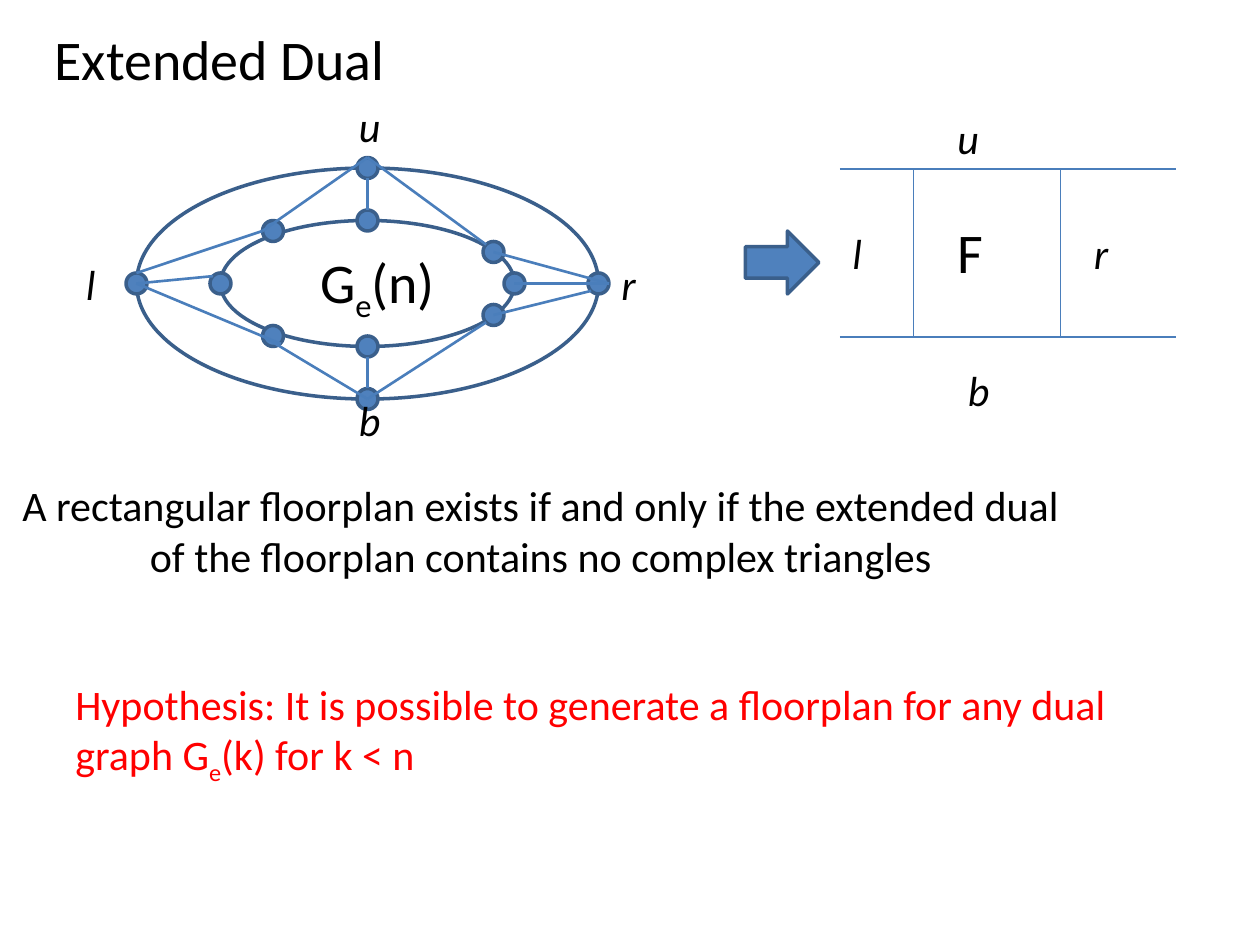
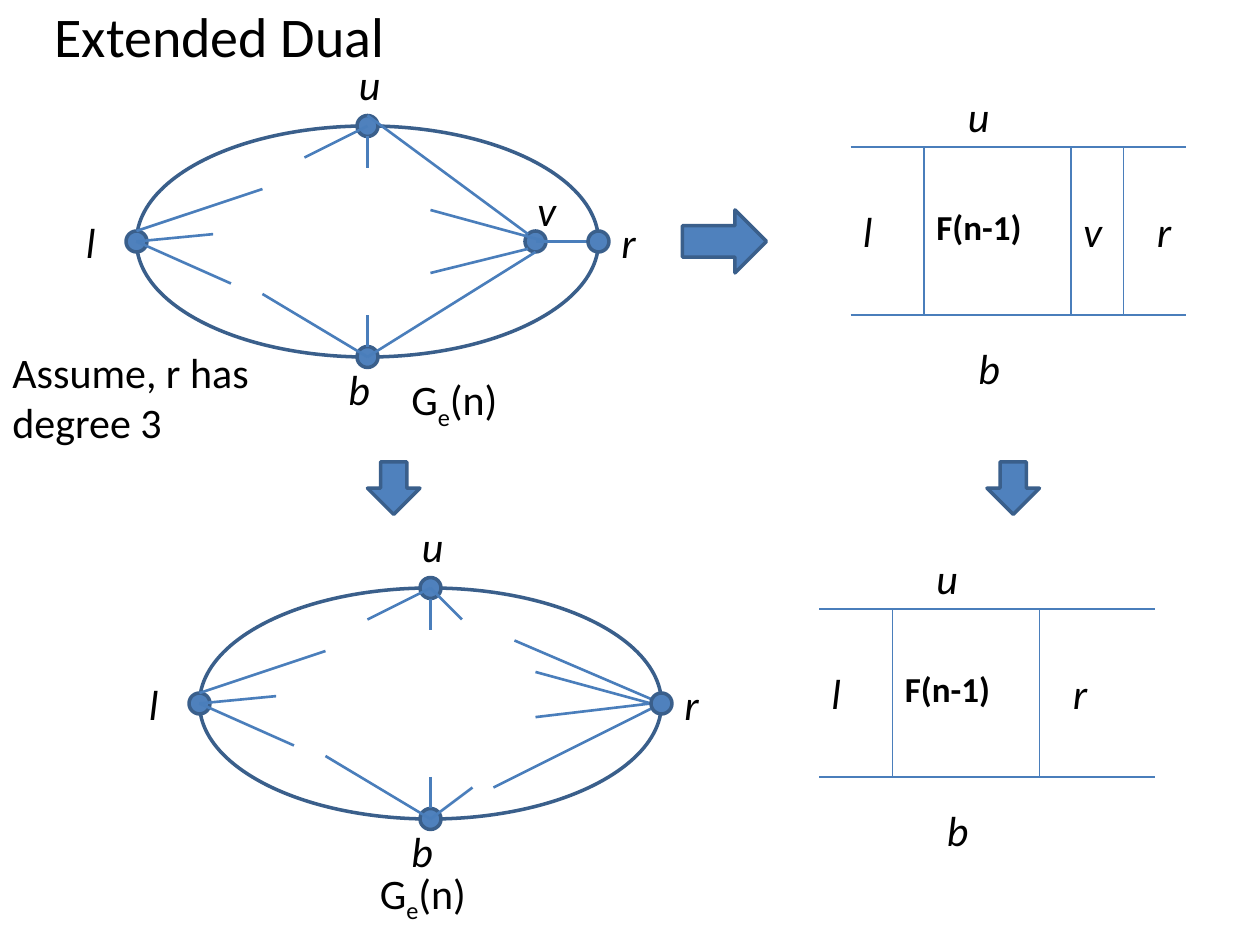
from lxml.etree import SubElement
from pptx import Presentation
from pptx.dml.color import RGBColor
from pptx.enum.shapes import MSO_CONNECTOR as Link, MSO_SHAPE as Shape
from pptx.enum.text import MSO_AUTO_SIZE as AutoSize, PP_ALIGN as Align
from pptx.oxml.ns import qn
from pptx.util import Emu, Inches, Pt

COLORS = {"ink": "000000", "alert": "FF0000", "paper": "FFFFFF",
          "node": "4F81BD", "outline": "3A5F8B", "edge": "4A7EBB"}
FONT = "Calibri"
COLUMNS, ROWS = 120, 90
CELL = Inches(10) // COLUMNS

# Graph coordinates are cells from the top left of the outer ellipse.
GRAPH_W, GRAPH_H = 44, 22
UP, BOTTOM = (GRAPH_W / 2, 0), (GRAPH_W / 2, GRAPH_H)
LEFT, RIGHT = (0, GRAPH_H / 2), (GRAPH_W, GRAPH_H / 2)
PLAN_W, PLAN_H = 32, 16

SHARED_EDGES = [((22, 1), (22, 4)), ((22, 18), (22, 21)), ((12, 6), (0, 10)),
                (BOTTOM, (12, 16)), (LEFT, (7.3, 10.3))]
OPEN_EDGES = SHARED_EDGES + [(LEFT, (9, 15)), ((16, 3), UP)]


def cells(*values):
    return [Emu(round(value * CELL)) for value in values]


def shifted(origin, point):
    return origin[0] + point[0], origin[1] + point[1]


def rgb(name):
    return RGBColor.from_string(COLORS[name])


def add_text(page, box, spans, size=24, color="ink", bold=False, italic=False,
             align=Align.LEFT):
    """Add one paragraph; a span that starts with "_" is a subscript."""
    frame = page.shapes.add_textbox(*cells(*box)).text_frame
    frame.word_wrap = True
    frame.auto_size = AutoSize.SHAPE_TO_FIT_TEXT
    para = frame.paragraphs[0]
    para.alignment = align
    for text in spans:
        span = para.add_run()
        span.text = text.removeprefix("_")
        font = span.font
        font.name, font.size = FONT, Pt(size)
        font.bold, font.italic = bold, italic
        font.color.rgb = rgb(color)
        if text.startswith("_"):
            span._r.get_or_add_rPr().set("baseline", "-25000")


def add_name(page, origin, point, name):
    """Add the italic name of a vertex or a room."""
    add_text(page, (*shifted(origin, point), 7, 6), [name], italic=True)


def add_line(page, origin, start, end, width):
    line = page.shapes.add_connector(
        Link.STRAIGHT, *cells(*shifted(origin, start), *shifted(origin, end)))
    line.line.color.rgb = rgb("edge")
    line.line.width = Pt(width)
    SubElement(line._element.spPr, qn("a:effectLst"))


def add_figure(page, kind, box, fill="node"):
    figure = page.shapes.add_shape(kind, *cells(*box))
    figure.shadow.inherit = False
    figure.fill.solid()
    figure.fill.fore_color.rgb = rgb(fill)
    figure.line.color.rgb = rgb("outline")
    figure.line.width = Pt(2)


def add_node(page, origin, center):
    x, y = shifted(origin, center)
    add_figure(page, Shape.OVAL, (x - 1, y - 1, 2, 2))


def add_graph(page, origin, nodes, edges, caption_at, caption_size=24,
              bottom_name=(19, 22), inner=None, right_on_top=True):
    """Draw an extended dual whose outer ellipse starts at origin."""
    add_figure(page, Shape.OVAL, (*origin, GRAPH_W, GRAPH_H), "paper")
    if inner:
        add_figure(page, Shape.OVAL, (*shifted(origin, inner[:2]), *inner[2:]), "paper")
    behind = [UP, BOTTOM, LEFT, *nodes]
    if not right_on_top:
        behind.append(RIGHT)
    for center in behind:
        add_node(page, origin, center)
    for start, end in edges:
        add_line(page, origin, start, end, 1.5)
    if right_on_top:
        add_node(page, origin, RIGHT)
    add_text(page, (*shifted(origin, caption_at), 18, 6.6), ["G", "_e", "(n)"], caption_size)
    names = {"u": (20, -7), "l": (-6, 8), "r": (45, 8), "b": bottom_name}
    for name, point in names.items():
        add_name(page, origin, point, name)


def add_floorplan(page, origin, walls=(7, 21)):
    """Draw the two long walls, the cross walls and the names around them."""
    for y in (0, PLAN_H):
        add_line(page, origin, (0, y), (PLAN_W, y), 0.75)
    for x in walls:
        add_line(page, origin, (x, 0), (x, PLAN_H), 0.75)
    names = {"u": (10, -6), "l": (0, 5), "r": (walls[-1] + 2, 5), "b": (11, 18)}
    for name, point in names.items():
        add_name(page, origin, point, name)


def add_page(deck, title_top):
    page = deck.slides.add_slide(deck.slide_layouts[6])
    add_text(page, (4, title_top, 60, 7.5), ["Extended Dual"], 32)
    return page


def build_theorem(deck):
    page = add_page(deck, 1.7)
    nodes = [(22, 5), (22, 17), (36, 11), (8, 11), (13, 6), (13, 16), (34, 14), (34, 8)]
    edges = SHARED_EDGES + [
        ((45, 11), (34, 8)), ((34, 14), (43.3, 11.7)), (BOTTOM, (33.3, 14.7)),
        ((45, 11), (36, 11)), ((33.3, 7.3), (22, -1)), ((12, 6), (22, -1)),
        (LEFT, (13.75, 16.75))]
    add_graph(page, (13, 16), nodes, edges, (16.3, 7), 32, bottom_name=(20, 21),
              inner=(8, 5, 28, 12), right_on_top=False)
    plan = (80, 16.1)
    add_floorplan(page, plan)
    add_text(page, (*shifted(plan, (10, 4)), 9, 7.5), ["F"], 32)
    add_figure(page, Shape.RIGHT_ARROW, (71, 22, 7, 6))
    add_text(page, (0, 45.1, 103, 10.8),
             ["A rectangular floorplan exists if and only if the extended dual "
              "of the floorplan contains no complex triangles"], align=Align.CENTER)
    add_text(page, (6, 64, 103, 11.4),
             ["Hypothesis: It is possible to generate a floorplan for any dual graph G",
              "_e", "(k) for k < n"], color="alert")


def build_degree_three(deck):
    page = add_page(deck, -0.4)
    before, after = (13, 12), (19, 56)
    v = (38, 11)
    add_graph(page, before, [v], OPEN_EDGES + [
        ((39, 11), (28, 8)), ((28, 14), (37.3, 11.7)), (BOTTOM, (38, 12)),
        (RIGHT, v), ((37.3, 10.3), (22, -1))], (25, 23))
    add_name(page, before, (37, 5), "v")
    add_graph(page, after, [], OPEN_EDGES + [
        ((43, 11), (32, 8)), ((32, 12.3), (43, 11)), ((28, 19), RIGHT),
        (RIGHT, (30, 5)), (UP, (25, 3)), (BOTTOM, (26, 19))], (16, 26))

    plan_before, plan_after = (81, 14), (78, 58)
    add_floorplan(page, plan_before, (7, 21, 26))
    add_name(page, plan_before, (21, 5), "v")
    add_floorplan(page, plan_after)
    for plan in (plan_before, plan_after):
        add_text(page, (*shifted(plan, (7, 5)), 14, 5.2), ["F(n-1)"], 20, bold=True)

    add_text(page, (0, 32.4, 36.8, 10.8), ["Assume, r has degree 3"])
    add_figure(page, Shape.RIGHT_ARROW, (65, 20, 8, 6))
    for x in (35, 94):
        add_figure(page, Shape.DOWN_ARROW, (x, 44, 5, 5))


def main():
    deck = Presentation()
    deck.slide_width, deck.slide_height = cells(COLUMNS, ROWS)
    build_theorem(deck)
    build_degree_three(deck)
    deck.save("out.pptx")


if __name__ == "__main__":
    main()
